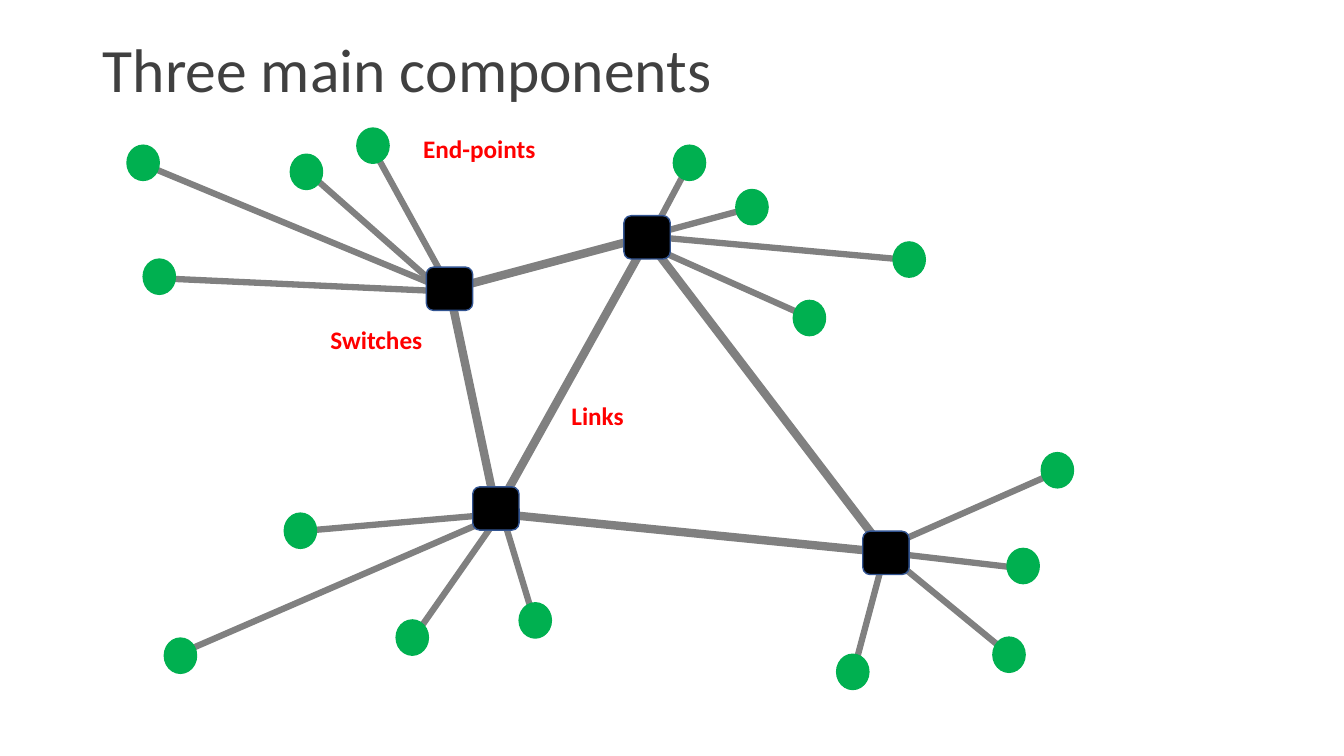
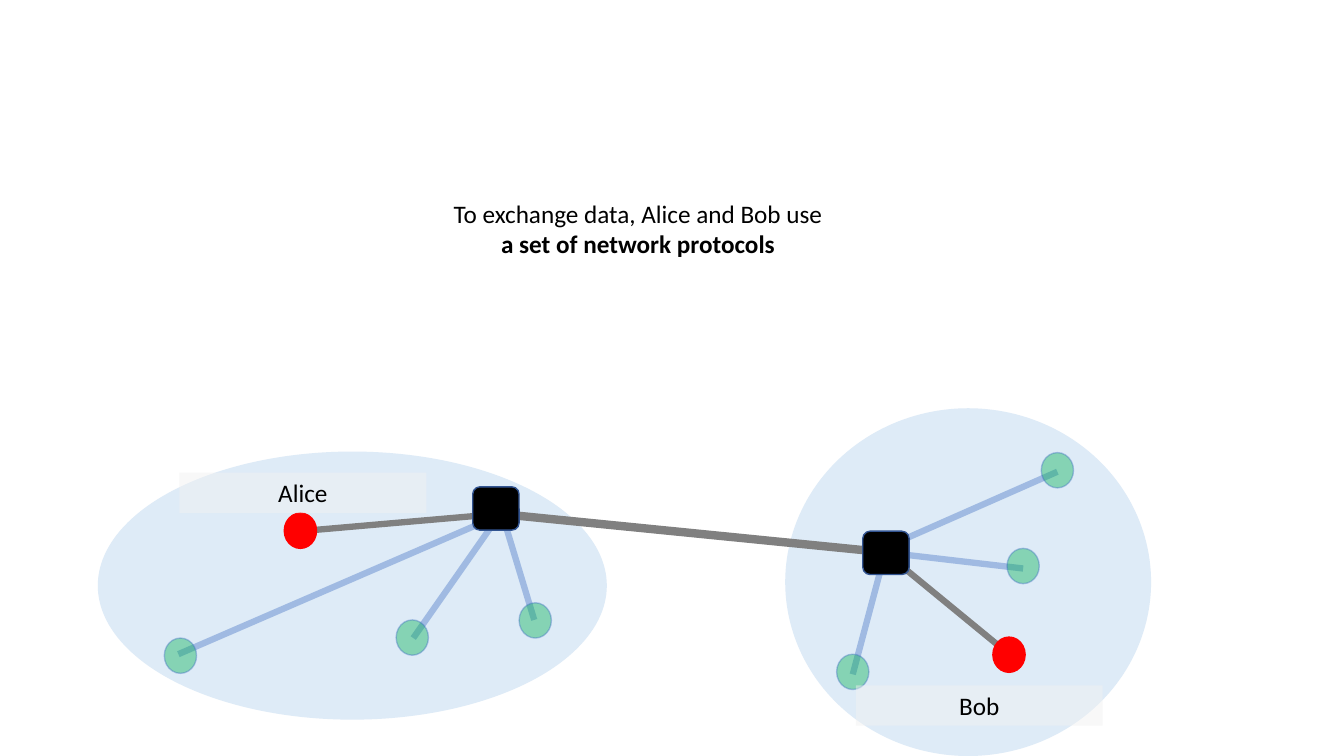
"""Two slides on the parts of a network and the protocols that join its users."""
from pptx import Presentation
from pptx.dml.color import RGBColor
from pptx.enum.shapes import MSO_CONNECTOR as LINE, MSO_SHAPE as SHAPE
from pptx.enum.text import MSO_ANCHOR as ANCHOR, MSO_AUTO_SIZE as FIT, PP_ALIGN as ALIGN
from pptx.oxml.ns import qn
from pptx.oxml.xmlchemy import OxmlElement
from pptx.util import Pt

PX = 9144
FONT = "Calibri"
BLACK = RGBColor(0x00, 0x00, 0x00)
DARK = RGBColor(0x40, 0x40, 0x40)
GRAY = RGBColor(0x80, 0x80, 0x80)
PALE = RGBColor(0xF2, 0xF2, 0xF2)
GREEN = RGBColor(0x00, 0xB0, 0x50)
RED = RGBColor(0xFF, 0x00, 0x00)
BLUE = RGBColor(0x44, 0x72, 0xC4)
NAVY = RGBColor(0x32, 0x54, 0x91)
SKY = RGBColor(0xDE, 0xEB, 0xF7)

TRUNKS = [
    (446, 287, 641, 235),
    (446, 288, 492, 505),
    (494, 504, 641, 240),
    (641, 236, 879, 548),
    (487, 509, 879, 548),
]
HUBS = [(423, 265), (619, 214), (469, 483), (856, 527)]
HOSTS = [
    ((126, 144), (140, 162, 444, 288)),
    ((142, 257), (157, 276, 440, 289)),
    ((288, 153), (308, 173, 444, 293)),
    ((354, 127), (368, 144, 445, 284)),
    ((668, 144), (683, 164, 641, 243)),
    ((730, 188), (746, 206, 642, 234)),
    ((886, 240), (902, 258, 637, 234)),
    ((787, 298), (803, 315, 635, 240)),
    ((282, 509), (298, 527, 493, 510)),
    ((163, 633), (177, 649, 498, 510)),
    ((393, 615), (410, 633, 494, 513)),
    ((515, 598), (530, 615, 497, 506)),
    ((830, 649), (846, 669, 878, 549)),
    ((985, 632), (1001, 649, 878, 548)),
    ((999, 544), (1015, 564, 878, 548)),
    ((1033, 449), (1049, 468, 872, 546)),
]
ALICE, BOB = HOSTS[8], HOSTS[13]
CLOUDS = [(779, 405, 363, 345), (97, 448, 505, 266)]
TERMS = [("End-points", 410, 127), ("Switches", 318, 317), ("Links", 557, 392)]
NAMES = [("Alice", 178, 469), ("Bob", 849, 680)]


def paint(shape, fill=None, edge=None, width=1, alpha=100):
    if fill is not None:
        shape.fill.solid()
        shape.fill.fore_color.rgb = fill
    if edge is None:
        shape.line.fill.background()
    else:
        shape.line.color.rgb = edge
        shape.line.width = Pt(width)
    props = shape._element.spPr
    props.append(OxmlElement("a:effectLst"))
    if alpha < 100:
        for color in props.iter(qn("a:srgbClr")):
            OxmlElement("a:alpha")
            tag = OxmlElement("a:alpha")
            tag.set("val", str(alpha * 1000))
            color.append(tag)


def write(shape, lines, color, align):
    frame = shape.text_frame
    frame.word_wrap = True
    frame.auto_size = FIT.SHAPE_TO_FIT_TEXT
    frame.text = "\n".join(text for text, bold in lines)
    for para, (text, bold) in zip(frame.paragraphs, lines):
        para.alignment = align
        para.font.name = FONT
        para.font.size = Pt(18)
        para.font.bold = bold
        para.font.color.rgb = color


deck = Presentation()
deck.slide_width, deck.slide_height = 12192000, 6858000
parts = deck.slides.add_slide(deck.slide_layouts[5])
talk = deck.slides.add_slide(deck.slide_layouts[6])

title = parts.shapes.title
title.left, title.top, title.width, title.height = [v * PX for v in (92, -1, 1150, 145)]
title.text_frame.text = "Three main components"
title.text_frame.vertical_anchor = ANCHOR.MIDDLE
head = title.text_frame.paragraphs[0]
head.alignment = ALIGN.LEFT
head.line_spacing = 0.9
head.font.name = FONT
head.font.size = Pt(44)
head.font.color.rgb = DARK

for box in CLOUDS:
    paint(talk.shapes.add_shape(SHAPE.OVAL, *[v * PX for v in box]), SKY)

plans = [
    (parts, TRUNKS, HUBS, HOSTS, HOSTS, GREEN),
    (talk, TRUNKS[-1:], HUBS[2:], HOSTS[8:], [ALICE, BOB], RED),
]
for slide, trunks, hubs, hosts, live, tint in plans:
    shapes = slide.shapes
    links = [(ends, 6, GRAY, 100) for ends in trunks]
    for host in hosts:
        look = (GRAY, 100) if host in live else (BLUE, 40)
        links.append((host[1], 4.5, *look))
    for ends, width, color, alpha in links:
        link = shapes.add_connector(LINE.STRAIGHT, *[v * PX for v in ends])
        paint(link, edge=color, width=width, alpha=alpha)
    for x, y in hubs:
        hub = shapes.add_shape(SHAPE.ROUNDED_RECTANGLE, x * PX, y * PX, 46 * PX, 43 * PX)
        paint(hub, BLACK, NAVY)
    for host in hosts:
        x, y = host[0]
        dot = shapes.add_shape(SHAPE.OVAL, x * PX, y * PX, 32 * PX, 35 * PX)
        if host in live:
            paint(dot, tint, tint)
        else:
            paint(dot, GREEN, BLUE, alpha=40)

for text, x, y in TERMS:
    term = parts.shapes.add_textbox(x * PX, y * PX, 182 * PX, 40 * PX)
    write(term, [(text, True)], RED, ALIGN.LEFT)

for text, x, y in NAMES:
    name = talk.shapes.add_shape(SHAPE.RECTANGLE, x * PX, y * PX, 245 * PX, 40 * PX)
    paint(name, PALE, alpha=48)
    write(name, [(text, False)], BLACK, ALIGN.CENTER)

note = talk.shapes.add_textbox(353 * PX, 192 * PX, 560 * PX, 71 * PX)
lines = [("To exchange data, Alice and Bob use", False), ("a set of network protocols", True)]
write(note, lines, BLACK, ALIGN.CENTER)

deck.save("out.pptx")
